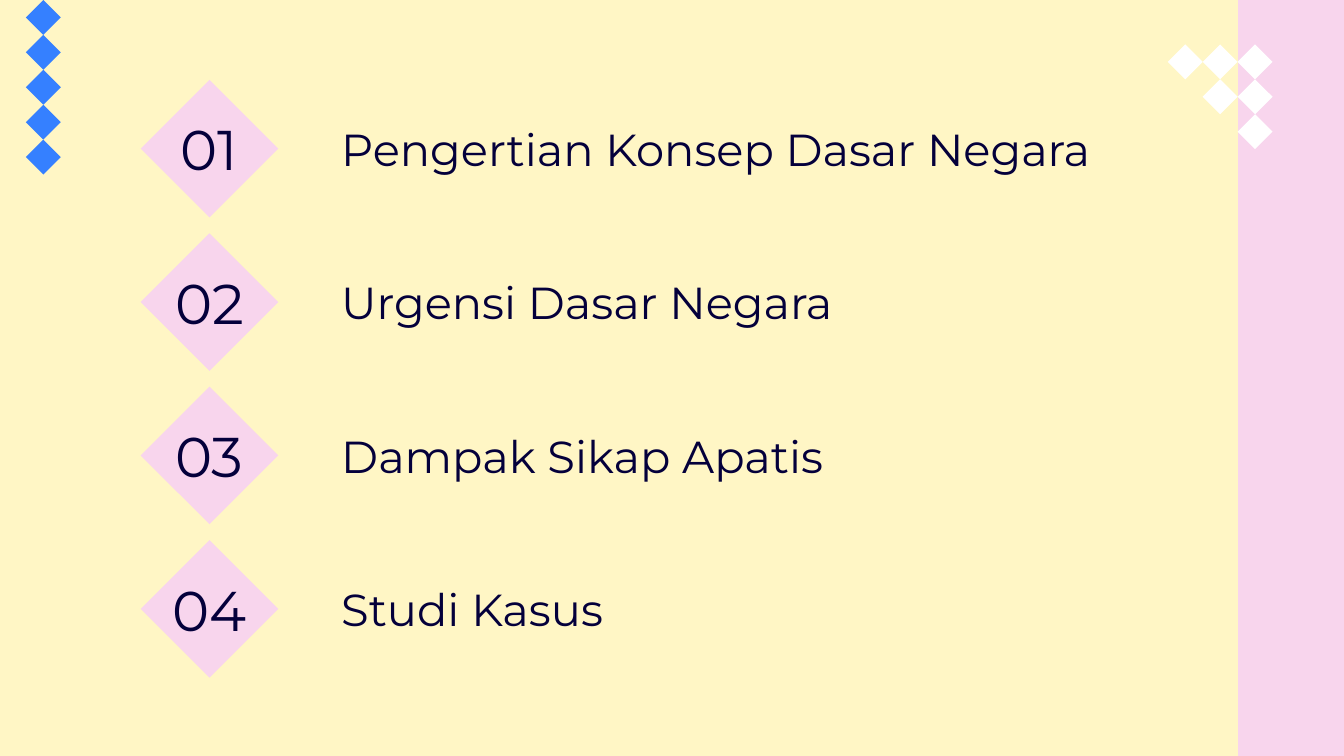
from pptx import Presentation
from pptx.dml.color import RGBColor
from pptx.enum.shapes import MSO_SHAPE as Shape
from pptx.enum.text import MSO_ANCHOR as Anchor, PP_ALIGN as Align
from pptx.util import Cm, Pt

FONT = "Montserrat"
CREAM, PINK, BLUE, WHITE, NAVY = "FFF6C5", "F8D5ED", "3580FF", "FFFFFF", "04003B"

TOPICS = [
    "Pengertian Konsep Dasar Negara",
    "Urgensi Dasar Negara",
    "Dampak Sikap Apatis",
    "Studi Kasus",
]
FIRST_TOP, ROW_STEP = 1.51, 2.9
BADGE_LEFT, BADGE_SIZE = 2.66, 2.6
TOPIC_LEFT, TOPIC_WIDTH = 6.2, 16.54
LABEL_HEIGHT = 1.48
TILE = 0.66


def paint(fill, color):
    fill.solid()
    fill.fore_color.rgb = RGBColor.from_string(color)


def add_block(slide, kind, left, top, width, height, color):
    block = slide.shapes.add_shape(kind, Cm(left), Cm(top), Cm(width), Cm(height))
    block.shadow.inherit = False
    paint(block.fill, color)
    block.line.fill.background()
    return block


def add_diamond(slide, left, top, size, color):
    return add_block(slide, Shape.DIAMOND, left, top, size, size, color)


def add_tiles(slide, left, top, cells, color):
    for column, row in cells:
        add_diamond(slide, left + column * TILE, top + row * TILE, TILE, color)


def add_label(slide, text, left, top, width, height, *, size, align=Align.LEFT):
    label = slide.shapes.add_textbox(Cm(left), Cm(top), Cm(width), Cm(height))
    frame = label.text_frame
    frame.word_wrap = True
    frame.vertical_anchor = Anchor.MIDDLE
    frame.margin_left = frame.margin_right = Cm(0.25)
    frame.margin_top = frame.margin_bottom = Cm(0.25)
    paragraph = frame.paragraphs[0]
    paragraph.alignment = align
    run = paragraph.add_run()
    run.text = text
    run.font.name = FONT
    run.font.size = Pt(size)
    run.font.color.rgb = RGBColor.from_string(NAVY)


def add_topic(slide, index, topic):
    top = FIRST_TOP + index * ROW_STEP
    label_top = top + (BADGE_SIZE - LABEL_HEIGHT) / 2
    add_diamond(slide, BADGE_LEFT, top, BADGE_SIZE, PINK)
    add_label(slide, f"{index + 1:02d}", BADGE_LEFT, label_top,
              BADGE_SIZE, LABEL_HEIGHT, size=30, align=Align.CENTER)
    add_label(slide, topic, TOPIC_LEFT, label_top,
              TOPIC_WIDTH, LABEL_HEIGHT, size=24)


def main():
    deck = Presentation()
    deck.slide_width, deck.slide_height = Cm(25.4), Cm(14.29)
    slide = deck.slides.add_slide(deck.slide_layouts[6])
    paint(slide.background.fill, CREAM)

    side_band = add_block(slide, Shape.RECTANGLE, 23.42, -0.08, 1.98, 14.45, PINK)
    paint(side_band.line.fill, PINK)
    side_band.line.width = Pt(0.75)

    add_tiles(slide, 0.49, 0, [(0, row) for row in range(5)], BLUE)
    corner = [(column, row) for row in range(3) for column in range(row, 3)]
    add_tiles(slide, 22.07, 0.84, corner, WHITE)

    for index, topic in enumerate(TOPICS):
        add_topic(slide, index, topic)

    deck.save("out.pptx")


if __name__ == "__main__":
    main()
